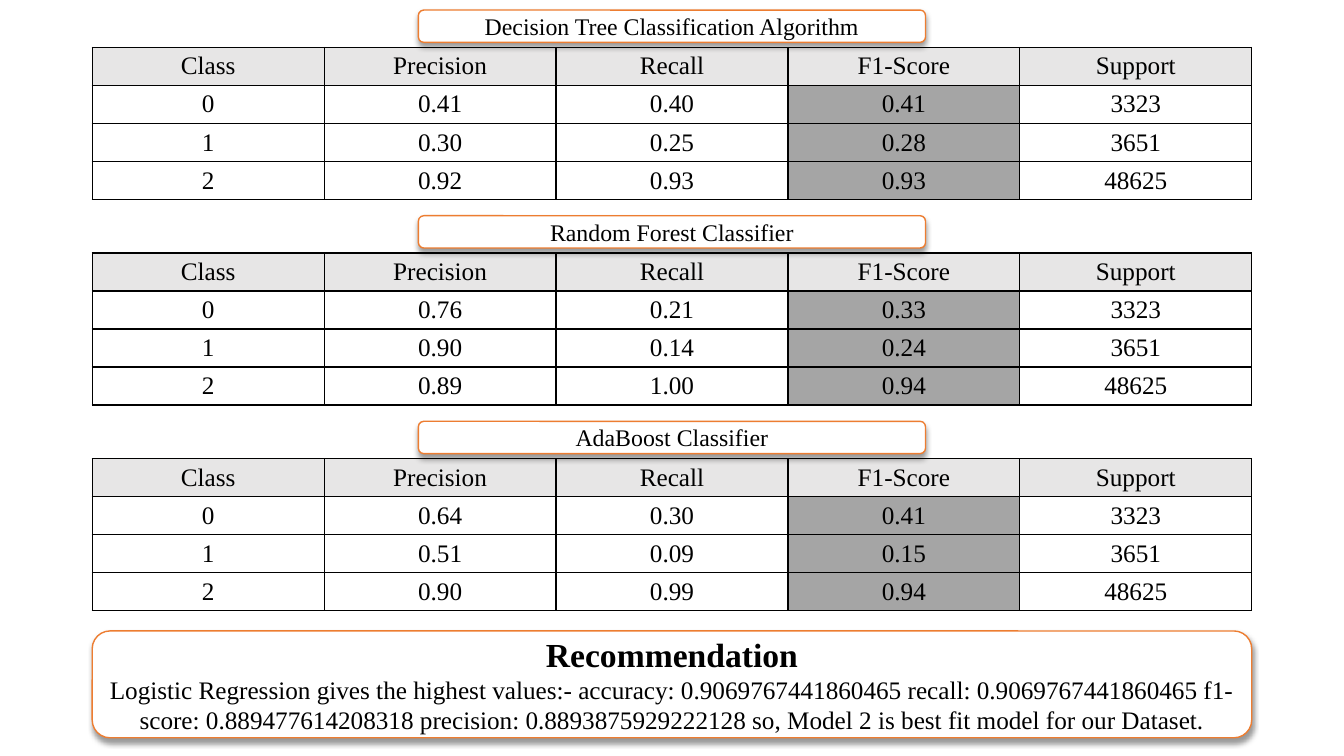
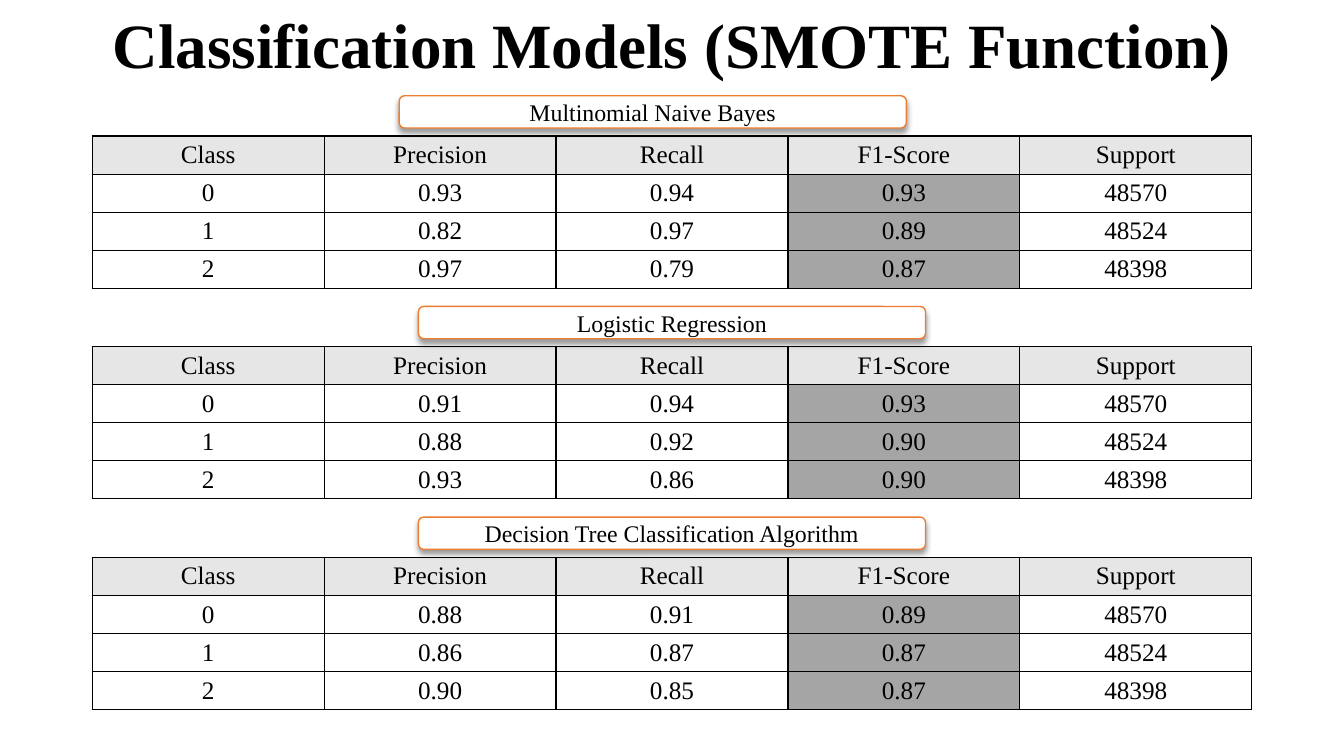
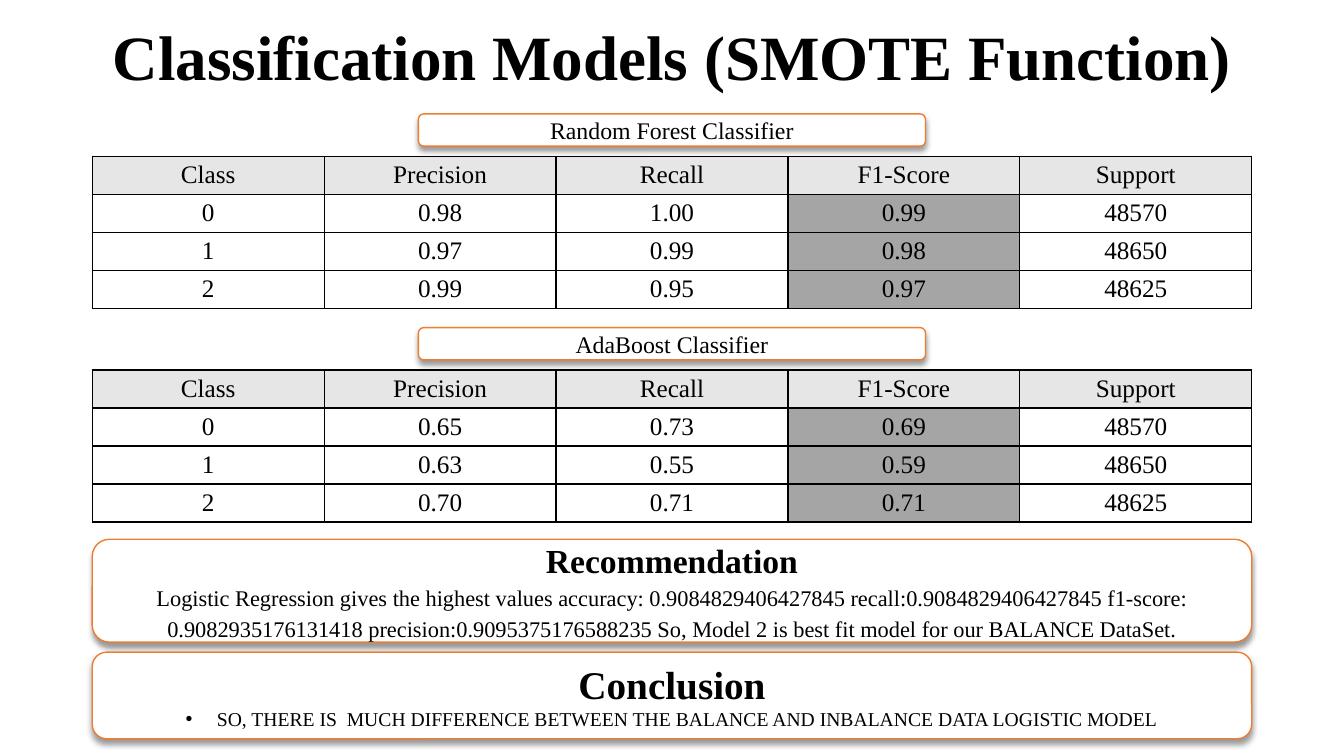
"""Build three slides of classifier score tables with their recommendations."""
from lxml import etree
from pptx import Presentation
from pptx.dml.color import RGBColor
from pptx.enum.shapes import MSO_SHAPE
from pptx.enum.text import MSO_ANCHOR, MSO_AUTO_SIZE, PP_ALIGN
from pptx.oxml.ns import qn
from pptx.util import Inches, Pt

ROUND = MSO_SHAPE.ROUNDED_RECTANGLE
MIDDLE = MSO_ANCHOR.MIDDLE
FIXED = MSO_AUTO_SIZE.NONE
CENTER = PP_ALIGN.CENTER

BLACK = RGBColor(0x00, 0x00, 0x00)
WHITE = RGBColor(0xFF, 0xFF, 0xFF)
ORANGE = RGBColor(0xED, 0x7D, 0x31)
PALE = RGBColor(0xE7, 0xE6, 0xE6)
GRAY = RGBColor(0xA5, 0xA5, 0xA5)
FONT = "Times New Roman"

WIDE, HIGH = 13.33, 7.5
BODY = 11.5
LEFT = (WIDE - BODY) / 2
BAR_W, BAR_H = 5.03, 0.32
GRID_H = 1.51
KEY = 3

HEADS = ["Class", "Precision", "Recall", "F1-Score", "Support"]
SMOTE = "Classification Models (SMOTE Function)"

SLIDES = [
    {
        "top": 0.1, "pitch": 2.04, "gap": 0.37,
        "support": ["3323", "3651", "48625"],
        "models": [
            ("Decision Tree Classification Algorithm", 0,
             ["0.41 0.40 0.41", "0.30 0.25 0.28", "0.92 0.93 0.93"]),
            ("Random Forest Classifier", 0,
             ["0.76 0.21 0.33", "0.90 0.14 0.24", "0.89 1.00 0.94"]),
            ("AdaBoost Classifier", 0,
             ["0.64 0.30 0.41", "0.51 0.09 0.15", "0.90 0.99 0.94"]),
        ],
        "notes": [
            (6.26, 1.06, "Recommendation", 24,
             "Logistic Regression gives the highest values:- accuracy: "
             "0.9069767441860465 recall: 0.9069767441860465 f1-score: "
             "0.889477614208318 precision: 0.8893875929222128 so, "
             "Model 2 is best fit model for our Dataset.", {"size": 18}),
        ],
    },
    {
        "title": SMOTE, "depth": 0.62,
        "top": 0.95, "pitch": 2.09, "gap": 0.4,
        "support": ["48570", "48524", "48398"],
        "models": [
            ("Multinomial Naive Bayes", -0.19,
             ["0.93 0.94 0.93", "0.82 0.97 0.89", "0.97 0.79 0.87"]),
            ("Logistic Regression", 0,
             ["0.91 0.94 0.93", "0.88 0.92 0.90", "0.93 0.86 0.90"]),
            ("Decision Tree Classification Algorithm", 0,
             ["0.88 0.91 0.89", "0.86 0.87 0.87", "0.90 0.85 0.87"]),
        ],
        "notes": [],
    },
    {
        "title": SMOTE, "depth": 0.86,
        "top": 1.13, "pitch": 2.12, "gap": 0.42,
        "support": ["48570", "48650", "48625"],
        "models": [
            ("Random Forest Classifier", 0,
             ["0.98 1.00 0.99", "0.97 0.99 0.98", "0.99 0.95 0.97"]),
            ("AdaBoost Classifier", 0,
             ["0.65 0.73 0.69", "0.63 0.55 0.59", "0.70 0.71 0.71"]),
        ],
        "notes": [
            (5.35, 1.02, "Recommendation", 24,
             "Logistic Regression gives the highest values accuracy: "
             "0.9084829406427845 recall:0.9084829406427845 f1-score: "
             "0.9082935176131418 precision:0.9095375176588235 So, "
             "Model 2 is best fit model for our BALANCE DataSet.",
             {"size": 16, "lead": 1.15}),
            (6.47, 0.86, "Conclusion", 28,
             "SO, THERE IS  MUCH DIFFERENCE BETWEEN THE BALANCE AND "
             "INBALANCE DATA LOGISTIC MODEL", {"size": 14, "bullet": "•"}),
        ],
    },
]


def write(frame, text, size=18, bold=False, lead=None, bullet=None):
    """Add one centred paragraph, using the first one while it is empty."""
    para = frame.paragraphs[0] if not frame.text else frame.add_paragraph()
    para.text = text
    para.alignment = CENTER
    if lead:
        para.line_spacing = lead
    if bullet:
        props = para._p.get_or_add_pPr()
        props.set("marL", str(Inches(0.31)))
        props.set("indent", str(-Inches(0.31)))
        etree.SubElement(props, qn("a:buFont"), typeface="Arial")
        etree.SubElement(props, qn("a:buChar"), char=bullet)
    font = para.runs[0].font
    font.name, font.size, font.bold = FONT, Pt(size), bold
    font.color.rgb = BLACK


def panel(slide, left, top, width, height):
    """Draw a white rounded panel with a soft shadow; return its text frame."""
    shape = slide.shapes.add_shape(
        ROUND, Inches(left), Inches(top), Inches(width), Inches(height))
    shape.fill.solid()
    shape.fill.fore_color.rgb = WHITE
    shape.line.color.rgb = ORANGE
    shape.line.width = Pt(1)
    shape.shadow.inherit = False
    glow = etree.SubElement(
        shape._element.spPr.find(qn("a:effectLst")), qn("a:outerShdw"),
        blurRad=str(Pt(4)), dist=str(Pt(3)), dir="5400000", rotWithShape="0")
    tint = etree.SubElement(glow, qn("a:srgbClr"), val=str(BLACK))
    etree.SubElement(tint, qn("a:alpha"), val="40000")
    frame = shape.text_frame
    frame.word_wrap = True
    frame.vertical_anchor = MIDDLE
    return frame


def border(cell):
    """Give a cell a thin black line on each side."""
    props = cell._tc.get_or_add_tcPr()
    for spot, side in enumerate("LRTB"):
        line = etree.Element(qn("a:ln" + side), w=str(Pt(1)))
        fill = etree.SubElement(line, qn("a:solidFill"))
        etree.SubElement(fill, qn("a:srgbClr"), val=str(BLACK))
        props.insert(spot, line)


def grid(slide, top, rows):
    """Draw a score table with a pale head and a gray key column."""
    table = slide.shapes.add_table(
        len(rows), len(HEADS), Inches(LEFT), Inches(top),
        Inches(BODY), Inches(GRID_H)).table
    table.first_row = table.horz_banding = False
    for r, row in enumerate(rows):
        for c, text in enumerate(row):
            cell = table.cell(r, c)
            cell.margin_top = cell.margin_bottom = Inches(0.04)
            cell.vertical_anchor = MIDDLE
            cell.fill.solid()
            cell.fill.fore_color.rgb = (
                PALE if r == 0 else GRAY if c == KEY else WHITE)
            border(cell)
            write(cell.text_frame, text)


def head(slide, text, depth):
    """Place and format the title."""
    title = slide.shapes.title
    title.left, title.top = Inches(LEFT), Inches(0.17)
    title.width, title.height = Inches(BODY), Inches(depth)
    frame = title.text_frame
    frame.auto_size = FIXED
    frame.word_wrap = True
    frame.vertical_anchor = MIDDLE
    write(frame, text, size=45, bold=True, lead=0.9)


def build(deck, data):
    """Add one slide from its content."""
    titled = "title" in data
    slide = deck.slides.add_slide(deck.slide_layouts[5 if titled else 6])
    if titled:
        head(slide, data["title"], data["depth"])
    for n, (name, shift, scores) in enumerate(data["models"]):
        top = data["top"] + n * data["pitch"]
        pairs = zip(scores, data["support"])
        rows = [[str(k), *line.split(), count]
                for k, (line, count) in enumerate(pairs)]
        grid(slide, top + data["gap"], [HEADS, *rows])
        bar = panel(slide, (WIDE - BAR_W) / 2 + shift, top, BAR_W, BAR_H)
        write(bar, name, size=17)
    for top, height, name, size, text, form in data["notes"]:
        frame = panel(slide, LEFT, top, BODY, height)
        write(frame, name, size=size, bold=True)
        write(frame, text, **form)


def main():
    """Build and save the deck."""
    deck = Presentation()
    deck.slide_width, deck.slide_height = Inches(WIDE), Inches(HIGH)
    for data in SLIDES:
        build(deck, data)
    deck.save("out.pptx")


if __name__ == "__main__":
    main()
